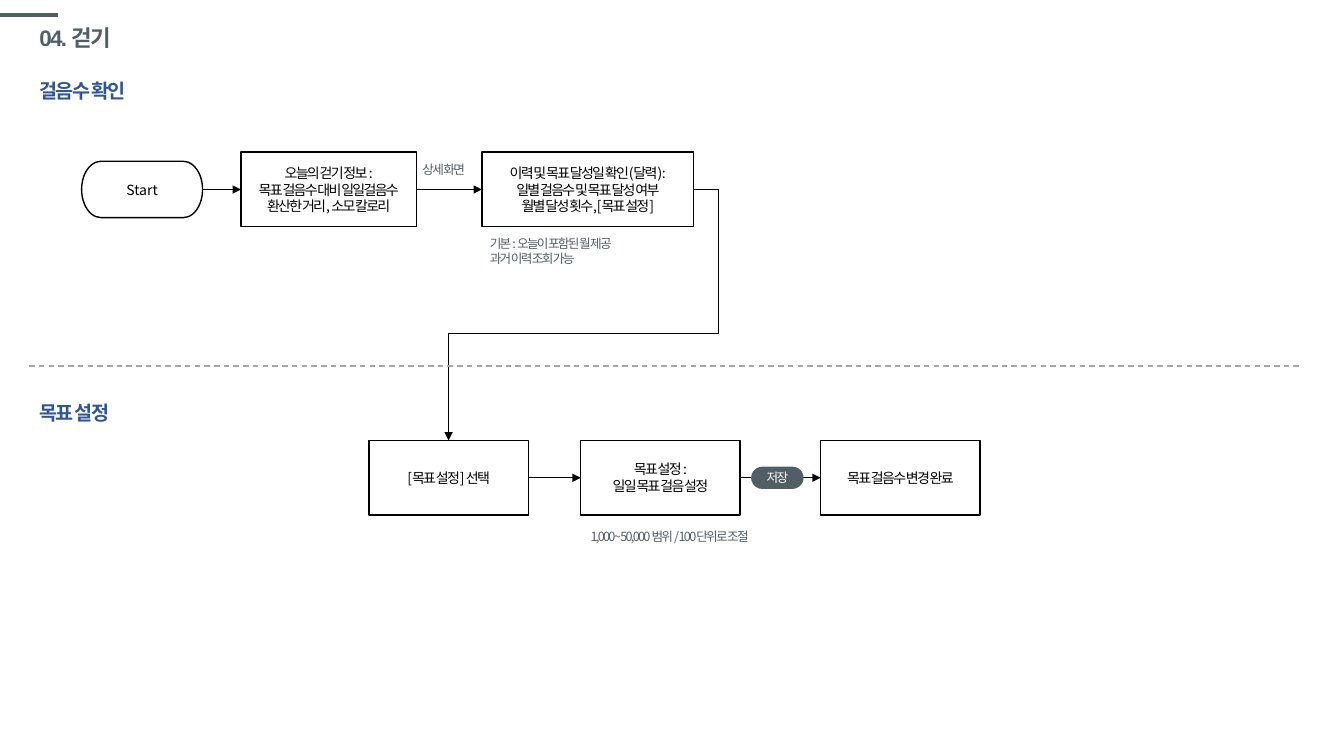
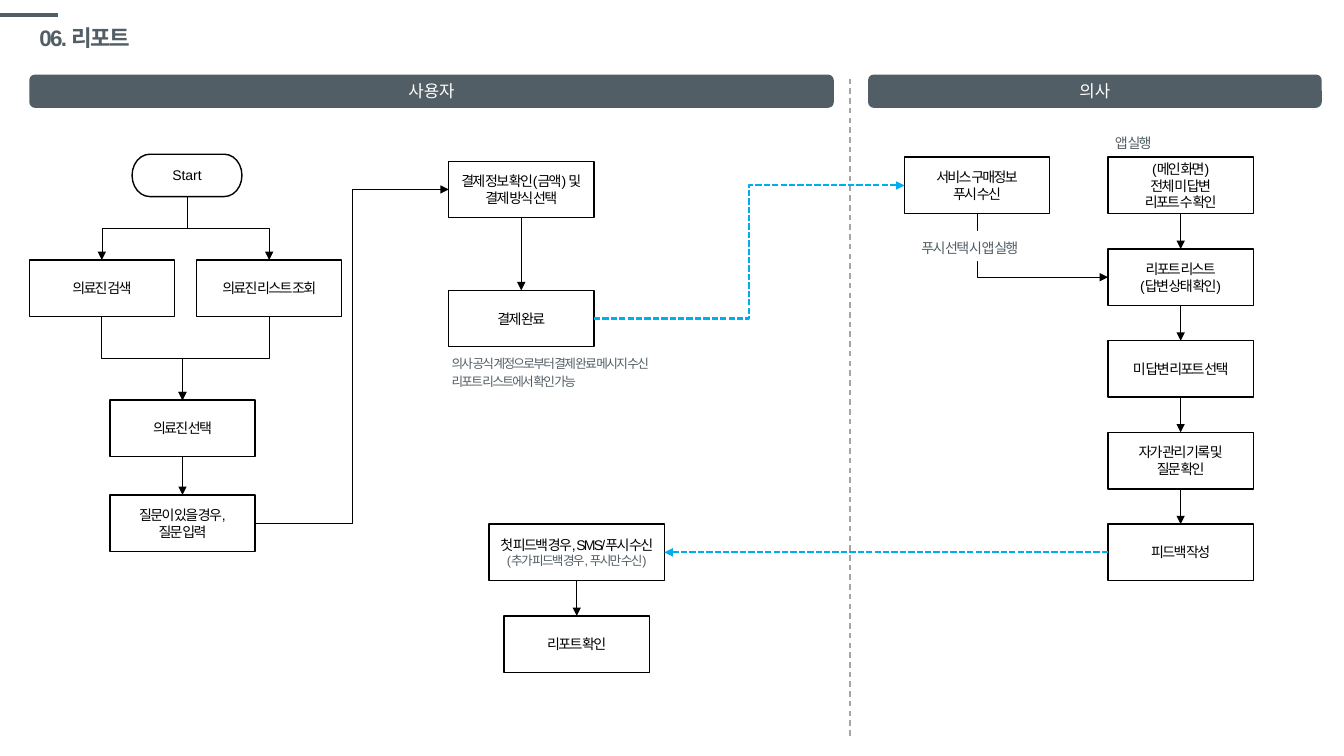
from dataclasses import dataclass, replace

from lxml.etree import SubElement
from pptx import Presentation
from pptx.dml.color import RGBColor as RGB
from pptx.enum.dml import MSO_LINE as DASH
from pptx.enum.shapes import MSO_CONNECTOR as CONN, MSO_SHAPE as SHAPE
from pptx.enum.text import MSO_ANCHOR as ANCHOR, MSO_AUTO_SIZE as AUTO, PP_ALIGN as ALIGN
from pptx.oxml.ns import qn
from pptx.util import Inches, Pt


@dataclass(frozen=True)
class Theme:
    slate: RGB = RGB.from_string("515E65")
    black: RGB = RGB.from_string("000000")
    white: RGB = RGB.from_string("FFFFFF")
    blue: RGB = RGB.from_string("2F5597")
    cyan: RGB = RGB.from_string("00AEEF")
    gray: RGB = RGB.from_string("A5A5A5")
    latin: str = "Arial"
    noto: str = "Noto Sans CJK KR"
    title: int = 16
    head: int = 14
    band: int = 12
    body: int = 10
    note: int = 9


@dataclass(frozen=True)
class Style:
    size: int
    color: RGB
    font: str
    track: int = -120
    bold: bool = False
    space: float = 1.0
    align: ALIGN = ALIGN.LEFT


T = Theme()
TITLE = Style(T.title, T.slate, T.latin, bold=True, space=0.9)
HEAD = Style(T.head, T.blue, T.noto, bold=True, space=1.5)
BAND = Style(T.band, T.white, T.noto, track=0, align=ALIGN.CENTER)
STEP = Style(T.body, T.black, T.noto, align=ALIGN.CENTER)
NOTE = Style(T.note, T.slate, T.noto)
TAG = Style(T.note, T.white, T.noto, align=ALIGN.CENTER)
STEP2 = replace(STEP, font=T.latin)
NOTE2 = replace(NOTE, font=T.latin, space=1.2)
HINT = replace(NOTE2, size=T.body)

# Line looks: colour, weight, dash
FLOW = (T.black, 0.5, None)
SEND = (T.cyan, 1.5, DASH.SQUARE_DOT)
SPLIT = (T.gray, 1, DASH.DASH)
BAR = (T.slate, 3, None)

# Connection sites of a box
TOP, LEFT, BOTTOM, RIGHT = range(4)


def write(shape, text, style):
    frame = shape.text_frame
    frame.text = text
    for para in frame.paragraphs:
        para.alignment = style.align
        para.line_spacing = style.space
        font = para.font
        font.size, font.bold, font.name = Pt(style.size), style.bold, style.font
        font.color.rgb = style.color
        props = para._p.get_or_add_pPr().get_or_add_defRPr()
        props.set("spc", str(style.track))
        SubElement(props, qn("a:ea"), typeface=T.noto)
    return frame


def wire(page, ends, look, kind=CONN.STRAIGHT):
    line = page.shapes.add_connector(kind, *map(Inches, ends))
    color, weight, dash = look
    line.line.color.rgb = color
    line.line.width = Pt(weight)
    if dash:
        line.line.dash_style = dash
    SubElement(line._element.spPr, qn("a:effectLst"))
    return line


deck = Presentation()
deck.slide_width, deck.slide_height = Inches(13.33), Inches(7.5)
layout = deck.slide_layouts[5]
holder = layout.placeholders[0]
holder.left, holder.top = Inches(0.29), Inches(0.19)
holder.width, holder.height = Inches(11.5), Inches(0.39)

pages = []
for text in ("04. 걷기", "06. 리포트"):
    page = deck.slides.add_slide(layout)
    frame = write(page.shapes.title, text, TITLE)
    frame.vertical_anchor = ANCHOR.MIDDLE
    frame.auto_size = AUTO.NONE
    pages.append(page)
walk, report = pages

# The corner bar belongs to the layout
bar = wire(walk, (0, 0.15, 0.58, 0.15), BAR)
layout.shapes._spTree.append(bar._element)

# Flow boxes: key, left, top, width, height, text
TALL, WIDE, LOW = 0.74, 1.44, 0.56
walk_steps = [
    ("start", 0.81, 1.6, 1.2, 0.56, "Start"),
    ("today", 2.39, 1.51, 1.74, TALL,
     "오늘의 걷기 정보 :\n목표 걸음수 대비 일일걸음수\n환산한 거리, 소모 칼로리"),
    ("past", 4.78, 1.51, 2.1, TALL,
     "이력 및 목표 달성일 확인(달력) :\n일별 걸음수 및 목표 달성 여부\n월별 달성 횟수, [목표 설정]"),
    ("pick", 3.66, 4.37, 1.58, TALL, "[목표 설정] 선택"),
    ("goal", 5.76, 4.37, 1.58, TALL, "목표 설정 :\n일일 목표 걸음 설정"),
    ("done", 8.14, 4.37, 1.58, TALL, "목표 걸음수 변경 완료"),
]
report_steps = [
    ("start", 1.31, 1.53, 1.09, 0.42, "Start"),
    ("find", 0.29, 2.58, WIDE, LOW, "의료진 검색"),
    ("list", 1.95, 2.58, WIDE, LOW, "의료진 리스트 조회"),
    ("pick", 1.09, 3.97, WIDE, LOW, "의료진 선택"),
    ("ask", 1.09, 4.91, WIDE, LOW, "질문이 있을 경우,\n질문 입력"),
    ("pay", 4.45, 1.6, WIDE, LOW, "결제 정보 확인(금액) 및\n결제 방식 선택"),
    ("paid", 4.45, 2.88, WIDE, LOW, "결제 완료"),
    ("push", 8.97, 1.56, WIDE, LOW, "서비스 구매정보\n푸시 수신"),
    ("reply", 4.85, 5.2, 1.74, LOW,
     "첫 피드백 경우, SMS/푸시 수신\n(추가 피드백 경우, 푸시만 수신)"),
    ("read", 5.0, 6.11, WIDE, LOW, "리포트 확인"),
]
doctor = [
    "(메인 화면)\n전체 미 답변\n리포트 수 확인",
    "리포트 리스트\n(답변 상태 확인)",
    "미 답변 리포트 선택",
    "자가 관리 기록 및\n질문 확인",
    "피드백 작성",
]
for row, text in enumerate(doctor):
    report_steps.append((f"doc{row}", 10.99, 1.56 + 0.91 * row, WIDE, LOW, text))

boxes = {}
for page, steps, style in ((walk, walk_steps, STEP), (report, report_steps, STEP2)):
    for key, x, y, w, h, text in steps:
        first = key == "start"
        kind = SHAPE.FLOWCHART_TERMINATOR if first else SHAPE.FLOWCHART_PROCESS
        box = page.shapes.add_shape(kind, *map(Inches, (x, y, w, h)))
        box.shadow.inherit = False
        box.fill.solid()
        box.fill.fore_color.rgb = T.white
        box.line.color.rgb = T.black
        box.line.width = Pt(1)
        frame = write(box, text, replace(style, track=0) if first else style)
        frame.word_wrap = False
        frame.vertical_anchor = ANCHOR.MIDDLE
        boxes[page.slide_id, key] = box

aside = boxes[report.slide_id, "reply"].text_frame.paragraphs[1].font
aside.size = Pt(T.note)
aside.color.rgb = T.slate

# Arrows: page, from, site, to, site, look, preset (None is straight)
BENT = "bentConnector3"
links = [
    (walk, "start", RIGHT, "today", LEFT, FLOW, None),
    (walk, "today", RIGHT, "past", LEFT, FLOW, None),
    (walk, "past", RIGHT, "pick", TOP, FLOW, "bentConnector4"),
    (walk, "pick", RIGHT, "goal", LEFT, FLOW, None),
    (walk, "goal", RIGHT, "done", LEFT, FLOW, None),
    (report, "start", BOTTOM, "find", TOP, FLOW, BENT),
    (report, "start", BOTTOM, "list", TOP, FLOW, BENT),
    (report, "find", BOTTOM, "pick", TOP, FLOW, BENT),
    (report, "list", BOTTOM, "pick", TOP, FLOW, BENT),
    (report, "pick", BOTTOM, "ask", TOP, FLOW, None),
    (report, "ask", RIGHT, "pay", LEFT, FLOW, BENT),
    (report, "pay", BOTTOM, "paid", TOP, FLOW, None),
    (report, "paid", RIGHT, "push", LEFT, SEND, BENT),
    (report, "push", BOTTOM, "doc1", LEFT, FLOW, "bentConnector2"),
    (report, "doc4", LEFT, "reply", RIGHT, SEND, None),
    (report, "reply", BOTTOM, "read", TOP, FLOW, None),
]
for row in range(len(doctor) - 1):
    links.append((report, f"doc{row}", BOTTOM, f"doc{row + 1}", TOP, FLOW, None))

bends = {"bentConnector4": (-10300, 57500), BENT: (50000,)}
for page, tail, out, head, into, look, preset in links:
    line = wire(page, (0, 0, 0, 0), look, CONN.ELBOW if preset else CONN.STRAIGHT)
    line.begin_connect(boxes[page.slide_id, tail], out)
    line.end_connect(boxes[page.slide_id, head], into)
    props = line._element.spPr
    SubElement(props.find(qn("a:ln")), qn("a:tailEnd"), type="triangle")
    if not preset:
        continue
    geom = props.find(qn("a:prstGeom"))
    geom.set("prst", preset)
    for num, bend in enumerate(bends.get(preset, ()), 1):
        SubElement(geom.find(qn("a:avLst")), qn("a:gd"),
                   name=f"adj{num}", fmla=f"val {bend}")
    if out == BOTTOM:
        # An elbow that leaves downwards is a turned sideways one
        dx, dy = line.end_x - line.begin_x, line.end_y - line.begin_y
        mid_x, mid_y = line.begin_x + dx // 2, line.begin_y + dy // 2
        side = 1 if dx < 0 else -1
        line.begin_x, line.end_x = mid_x - side * dy // 2, mid_x + side * dy // 2
        line.begin_y, line.end_y = mid_y - abs(dx) // 2, mid_y + abs(dx) // 2
        props.find(qn("a:xfrm")).set("rot", str((90 if side > 0 else 270) * 60000))

wire(walk, (0.29, 3.63, 12.91, 3.63), SPLIT)
wire(report, (8.43, 0.78, 8.43, 7.32), SPLIT)

# Free text: page, left, top, width, height, text, style
notes = [
    (walk, 0.29, 0.62, 1.49, 0.45, "걸음수 확인", HEAD),
    (walk, 0.29, 3.81, 1.49, 0.45, "목표 설정", HEAD),
    (walk, 4.09, 1.56, 0.68, 0.25, "상세 화면", NOTE),
    (walk, 4.76, 2.29, 1.86, 0.4, "기본 : 오늘이 포함된 월 제공\n과거 이력 조회 가능", NOTE),
    (walk, 5.76, 5.2, 1.86, 0.25, "1,000~ 50,000 범위 / 100단위로 조절", NOTE),
    (report, 4.38, 3.45, 2.48, 0.46,
     "의사 공식 계정으로부터 결제 완료 메시지 수신\n리포트 리스트에서 확인 가능", NOTE2),
    (report, 9.04, 2.29, 1.42, 0.3, "푸시 선택 시 앱 실행", HINT),
    (report, 10.96, 1.25, 0.7, 0.3, "앱 실행", HINT),
]
for page, x, y, w, h, text, style in notes:
    box = page.shapes.add_textbox(*map(Inches, (x, y, w, h)))
    write(box, text, style).word_wrap = True
    if text.startswith("푸시"):
        box.fill.solid()
        box.fill.fore_color.rgb = T.white

# Slate bands and the button: page, left, top, width, height, text, style, corner
bands = [
    (walk, 7.45, 4.63, 0.52, 0.22, "저장", TAG, 0.5),
    (report, 0.29, 0.74, 7.98, 0.33, "사용자", BAND, 0.17),
    (report, 8.61, 0.74, 4.5, 0.33, "의사", BAND, 0.17),
]
for page, x, y, w, h, text, style, corner in bands:
    band = page.shapes.add_shape(SHAPE.ROUNDED_RECTANGLE, *map(Inches, (x, y, w, h)))
    band.adjustments[0] = corner
    band.shadow.inherit = False
    band.fill.solid()
    band.fill.fore_color.rgb = T.slate
    band.line.fill.background()
    frame = write(band, text, style)
    frame.vertical_anchor = ANCHOR.MIDDLE
    frame.margin_top = frame.margin_bottom = 0

deck.save("out.pptx")
